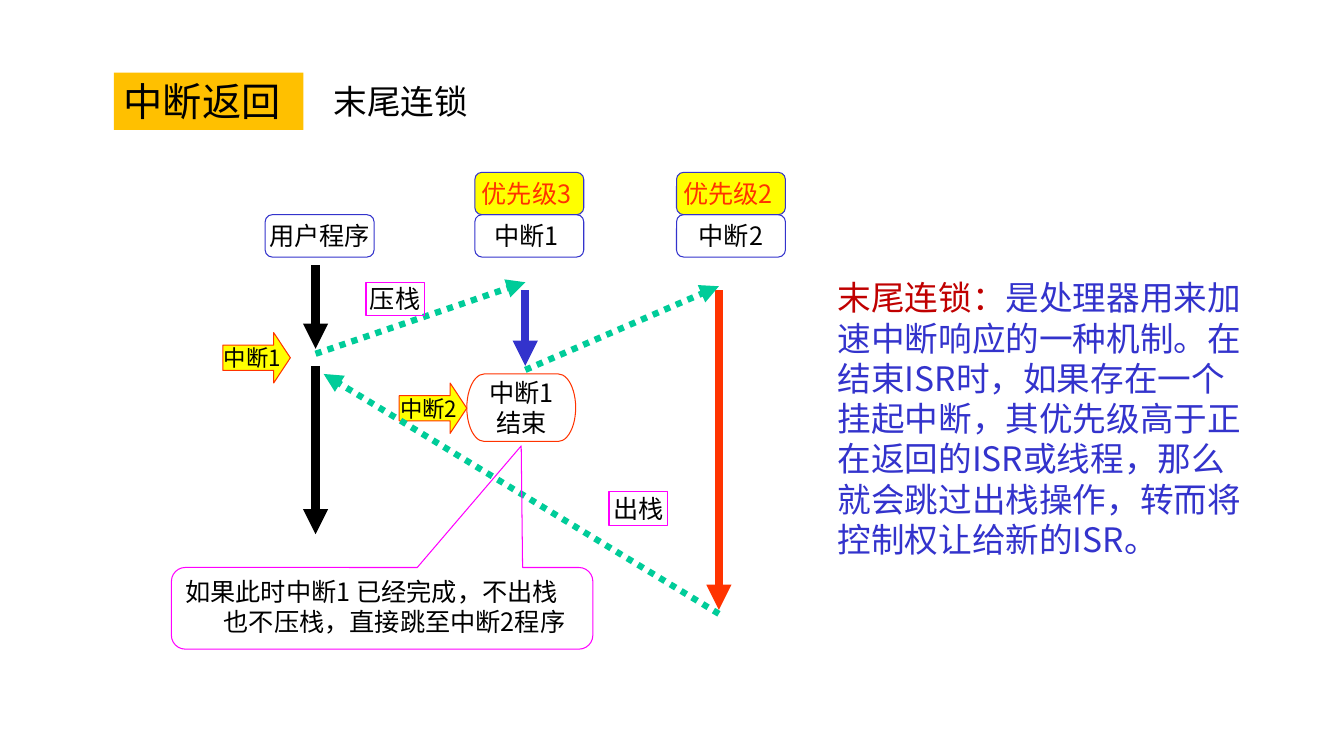
from lxml.etree import SubElement
from pptx import Presentation
from pptx.dml.color import RGBColor
from pptx.enum.dml import MSO_LINE_DASH_STYLE as DASH
from pptx.enum.shapes import MSO_CONNECTOR, MSO_SHAPE as SHAPE
from pptx.enum.text import MSO_ANCHOR as ANCHOR, MSO_AUTO_SIZE as AUTO_SIZE, PP_ALIGN as ALIGN
from pptx.oxml.ns import qn
from pptx.util import Pt

PX = 9144  # 100 px to the inch
BLACK = RGBColor(0x00, 0x00, 0x00)
BLUE = RGBColor(0x33, 0x33, 0xCC)
RED = RGBColor(0xFF, 0x33, 0x00)
DARK_RED = RGBColor(0xC0, 0x00, 0x00)
YELLOW = RGBColor(0xFF, 0xFF, 0x00)
GOLD = RGBColor(0xFF, 0xC0, 0x00)
GREEN = RGBColor(0x00, 0xCC, 0x99)
MAGENTA = RGBColor(0xFF, 0x00, 0xFF)
SC, JP = "Noto Sans CJK SC", "Noto Sans CJK JP"


class Page:
    """The slide being drawn and the style its elements share."""

    hanging = 38

    def __init__(self, deck):
        self.shapes = deck.slides.add_slide(deck.slide_layouts[6]).shapes

    def style(self, para, size, font, color=None, align=ALIGN.LEFT, hanging=True):
        para.alignment = align
        if hanging:
            properties = para._p.get_or_add_pPr()
            properties.set("marL", str(self.hanging * PX))
            properties.set("indent", str(-self.hanging * PX))
        para.font.size = Pt(size)
        if color is not None:
            para.font.color.rgb = color
        para.font.name = font
        SubElement(para._p.pPr.find(qn("a:defRPr")), qn("a:ea"), typeface=font)

    def fill_text(self, frame, lines, size, font=SC, color=BLACK, align=ALIGN.LEFT):
        for index, line in enumerate(lines):
            para = frame.add_paragraph() if index else frame.paragraphs[0]
            para.add_run().text = line
            self.style(para, size, font, color, align)

    def text(self, left, top, width, height):
        box = self.shapes.add_textbox(left * PX, top * PX, width * PX, height * PX)
        box.text_frame.word_wrap = True
        box.text_frame.auto_size = AUTO_SIZE.SHAPE_TO_FIT_TEXT
        return box.text_frame

    def shape(self, kind, left, top, width, height, line=None, fill=None, adjust=()):
        shape = self.shapes.add_shape(kind, left * PX, top * PX, width * PX, height * PX)
        shape.shadow.inherit = False
        for index, value in enumerate(adjust):
            shape.adjustments[index] = value
        if fill is None:
            shape.fill.background()
        else:
            shape.fill.solid()
            shape.fill.fore_color.rgb = fill
        if line is None:
            shape.line.fill.background()
        else:
            shape.line.color.rgb = line
            shape.line.width = Pt(0.75)
        frame = shape.text_frame
        frame.word_wrap = True
        frame.vertical_anchor = ANCHOR.TOP
        return frame

    def label(self, kind, place, lines, line, fill=None, color=BLACK, size=18, adjust=()):
        frame = self.shape(kind, *place, line, fill, adjust)
        frame.word_wrap = False
        frame.vertical_anchor = ANCHOR.MIDDLE
        self.fill_text(frame, lines, size, color=color, align=ALIGN.CENTER)

    def arrow(self, start, end, color, width=6, dash=None):
        points = [value * PX for value in (*start, *end)]
        arrow = self.shapes.add_connector(MSO_CONNECTOR.STRAIGHT, *points)
        arrow.line.color.rgb = color
        arrow.line.width = Pt(width)
        if dash is not None:
            arrow.line.dash_style = dash
        SubElement(arrow.line._get_or_add_ln(), qn("a:tailEnd"), type="triangle")
        SubElement(arrow._element.spPr, qn("a:effectLst"))

    def jump(self, start, end):
        self.arrow(start, end, GREEN, 4.5, DASH.ROUND_DOT)


def main():
    deck = Presentation()
    deck.slide_width, deck.slide_height = 1333 * PX, 750 * PX
    page = Page(deck)

    # Headings
    page.fill_text(page.text(321, 75, 180, 50), ["末尾连锁"], 24)
    title = page.shape(SHAPE.RECTANGLE, 113, 72, 188, 57, fill=GOLD)
    page.fill_text(title, ["中断返回"], 28, JP)

    # Column heads, with the priority above each interrupt
    for left, name, priority in ((263, "用户程序", None), (471, "中断1 ", "优先级3 "),
                                 (671, "中断2", "优先级2 ")):
        page.label(SHAPE.FLOWCHART_ALTERNATE_PROCESS, (left, 213, 108, 42), [name], BLUE)
        if priority:
            page.label(SHAPE.FLOWCHART_ALTERNATE_PROCESS, (left, 171, 108, 42),
                       [priority], BLUE, YELLOW, RED)

    # Running time of each program
    for x, top, bottom, color in ((313, 263, 346, BLACK), (313, 363, 530, BLACK),
                                  (521, 288, 363, BLUE), (713, 288, 605, RED)):
        page.arrow((x, top), (x, bottom), color)

    # Incoming interrupts
    for left, top, name in ((221, 330, "中断1"), (396, 380, "中断2")):
        page.label(SHAPE.RIGHT_ARROW, (left, top, 67, 50), [name], RED, YELLOW,
                   size=16, adjust=(0.5, 0.33))

    # Jumps between programs
    page.jump((313, 351), (521, 280))
    page.jump((521, 367), (713, 284))
    page.jump((713, 609), (321, 371))

    # Callout and stack labels
    callout = page.shape(SHAPE.ROUNDED_RECTANGULAR_CALLOUT, 170, 563, 418, 81, MAGENTA,
                         adjust=(0.33, -1.99, 0.17))
    page.fill_text(callout, ["如果此时中断1 已经完成，不出栈也不压栈，直接跳至中断2程序"], 18)
    for left, top, name in ((363, 280, "压栈"), (604, 488, "出栈")):
        page.label(SHAPE.RECTANGLE, (left, top, 58, 33), [name], MAGENTA)
    page.label(SHAPE.FLOWCHART_TERMINATOR, (463, 371, 108, 67), ["中断1", "结束"], RED)

    # Definition
    definition = page.text(821, 270, 422, 293).paragraphs[0]
    for words, color in (
        ("末尾连锁：", DARK_RED),
        ("是处理器用来加速中断响应的一种机制。在结束ISR时，如果存在一个挂起中断，"
         "其优先级高于正在返回的ISR或线程，那么就会跳过出栈操作，转而将控制权让给新的ISR。", BLUE),
    ):
        span = definition.add_run()
        span.text = words
        span.font.color.rgb = color
    page.style(definition, 24, JP, hanging=False)

    deck.save("out.pptx")


if __name__ == "__main__":
    main()
